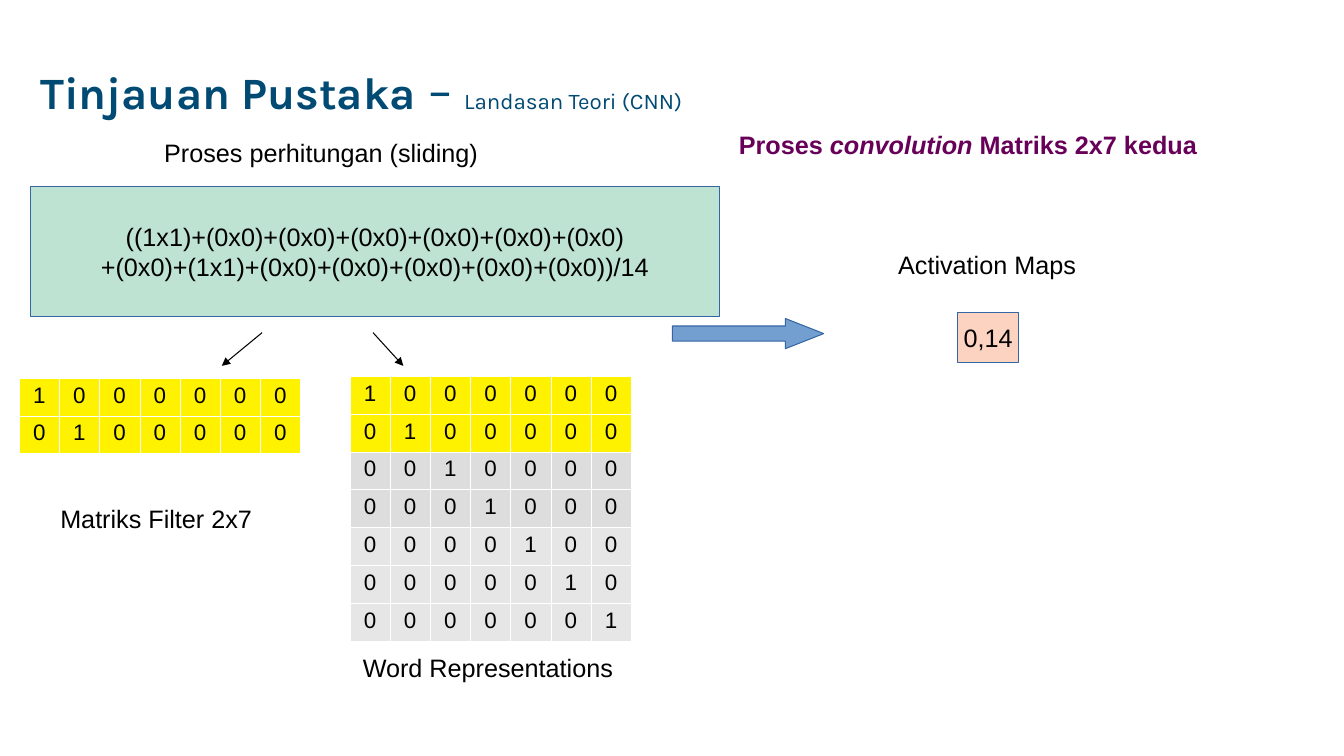
from dataclasses import dataclass
from lxml import etree
from pptx import Presentation
from pptx.dml.color import RGBColor as RGB
from pptx.enum.shapes import MSO_CONNECTOR as LINE, MSO_SHAPE as SHAPE
from pptx.enum.text import MSO_ANCHOR as ANCHOR, MSO_AUTO_SIZE as AUTO, PP_ALIGN as ALIGN
from pptx.oxml.ns import qn
from pptx.util import Inches, Pt


@dataclass(frozen=True)
class Theme:
    sans: str = "Arial"
    head: str = "Karla"
    ink: str = "000000"
    navy: str = "014A73"
    plum: str = "680059"
    edge: str = "3465A4"
    mint: str = "BEE3D3"
    peach: str = "FCD3C1"
    blue: str = "729FCF"
    yellow: str = "FFF200"
    gray: str = "DDDDDD"
    pale: str = "E6E6E6"
    white: str = "FFFFFF"
    title: int = 32
    dash: int = 36
    sub: int = 16
    body: int = 18
    cell: int = 16


T = Theme()
COLS = 7


def style(run, size, color=T.ink, face=T.sans, bold=False, italic=False):
    font = run.font
    font.name, font.size = face, Pt(size)
    font.bold, font.italic = bold, italic
    font.color.rgb = RGB.from_string(color)


def paint(shape, fill):
    shape.shadow.inherit = False
    shape.fill.solid()
    shape.fill.fore_color.rgb = RGB.from_string(fill)
    shape.line.color.rgb = RGB.from_string(T.edge)
    shape.line.width = Pt(0.75)


def inches(box):
    return [Inches(v) for v in box]


def title(slide, box):
    """Slide title with a lighter subtitle on the same line."""
    shape = slide.shapes.title
    shape.left, shape.top, shape.width, shape.height = inches(box)
    frame = shape.text_frame
    frame.auto_size, frame.word_wrap = AUTO.NONE, True
    frame.vertical_anchor = ANCHOR.MIDDLE
    para = frame.paragraphs[0]
    para.alignment, para.line_spacing = ALIGN.LEFT, 0.9
    for text, size, bold in (
        ("Tinjauan Pustaka", T.title, True),
        (" – ", T.dash, False),
        ("Landasan Teori (CNN)", T.sub, False),
    ):
        run = para.add_run()
        run.text = text
        style(run, size, T.navy, T.head, bold)


def label(slide, box, *parts, color=T.ink, bold=False):
    """Text line; every second part is italic."""
    frame = slide.shapes.add_textbox(*inches(box)).text_frame
    frame.word_wrap = True
    for i, text in enumerate(parts):
        run = frame.paragraphs[0].add_run()
        run.text = text
        style(run, T.body, color, bold=bold, italic=i % 2 == 1)


def panel(slide, box, fill, text):
    """Filled box with centred text."""
    shape = slide.shapes.add_shape(SHAPE.RECTANGLE, *inches(box))
    paint(shape, fill)
    frame = shape.text_frame
    frame.word_wrap, frame.vertical_anchor = False, ANCHOR.MIDDLE
    frame.text = text
    for para in frame.paragraphs:
        para.alignment = ALIGN.CENTER
        style(para.runs[0], T.body)


def border(cell):
    """Hairline white edges, placed ahead of the cell fill."""
    props = cell._tc.get_or_add_tcPr()
    for i, side in enumerate(("lnL", "lnR", "lnT", "lnB")):
        edge = etree.Element(qn("a:" + side), w="720")
        fill = etree.SubElement(edge, qn("a:solidFill"))
        etree.SubElement(fill, qn("a:srgbClr"), val=T.white)
        props.insert(i, edge)


def matrix(slide, box, fills):
    """Identity matrix with one fill colour per row."""
    left, top, width, height = inches(box)
    rows = len(fills)
    table = slide.shapes.add_table(rows, COLS, left, top, width, height).table
    table.first_row = table.horz_banding = False
    for r, fill in enumerate(fills):
        table.rows[r].height = height // rows
        for c in range(COLS):
            cell = table.cell(r, c)
            cell.text = "1" if r == c else "0"
            cell.fill.solid()
            cell.fill.fore_color.rgb = RGB.from_string(fill)
            para = cell.text_frame.paragraphs[0]
            para.alignment = ALIGN.CENTER
            style(para.runs[0], T.cell)
            border(cell)


def pointer(slide, start, end):
    """Thin line with an arrowhead at its end."""
    link = slide.shapes.add_connector(LINE.STRAIGHT, *inches(start + end))
    link.line.color.rgb = RGB.from_string(T.ink)
    link.line.width = Pt(0.75)
    etree.SubElement(link.line._get_or_add_ln(), qn("a:tailEnd"), type="triangle")
    etree.SubElement(link._element.spPr, qn("a:effectLst"))


def arrow(slide, box):
    """Block arrow towards the result."""
    shape = slide.shapes.add_shape(SHAPE.RIGHT_ARROW, *inches(box))
    shape.adjustments[0], shape.adjustments[1] = 0.5, 1.27
    paint(shape, T.blue)


def sliding(slide, x, y):
    """Left region: formula, filter and word matrices."""
    label(slide, (x + 1.23, y, 4.01, 0.38), "Proses perhitungan (sliding)")
    panel(slide, (x, y + 0.54, 6.84, 1.29), T.mint,
          "((1x1)+(0x0)+(0x0)+(0x0)+(0x0)+(0x0)+(0x0)\n"
          "+(0x0)+(1x1)+(0x0)+(0x0)+(0x0)+(0x0)+(0x0))/14")
    for near, far in ((2.3, 1.9), (3.4, 3.7)):
        pointer(slide, (x + near, y + 1.99), (x + far, y + 2.32))
    window = [T.yellow] * 2
    matrix(slide, (x - 0.11, y + 2.44, 2.79, 0.75), window)
    label(slide, (x + 0.2, y + 3.63, 2.4, 0.38), "Matriks Filter 2x7")
    matrix(slide, (x + 3.17, y + 2.42, 2.79, 2.63),
           window + [T.gray] * 2 + [T.pale] * 3)
    label(slide, (x + 3.2, y + 5.11, 3.1, 0.38), "Word Representations")


def result(slide, x, y):
    """Right region: heading, arrow and activation value."""
    label(slide, (x, y, 5.64, 0.66), "Proses ", "convolution",
          " Matriks 2x7 kedua", color=T.plum, bold=True)
    arrow(slide, (x - 0.56, y + 1.93, 1.5, 0.3))
    label(slide, (x + 1.58, y + 1.19, 2.37, 0.38), "Activation Maps")
    panel(slide, (x + 2.27, y + 1.87, 0.6, 0.5), T.peach, "0,14")


def main():
    deck = Presentation()
    deck.slide_width, deck.slide_height = Inches(13.33), Inches(7.5)
    slide = deck.slides.add_slide(deck.slide_layouts[5])
    title(slide, (0.3, 0.2, 7.6, 1.45))
    sliding(slide, 0.3, 1.31)
    result(slide, 7.23, 1.23)
    deck.save("out.pptx")


if __name__ == "__main__":
    main()
